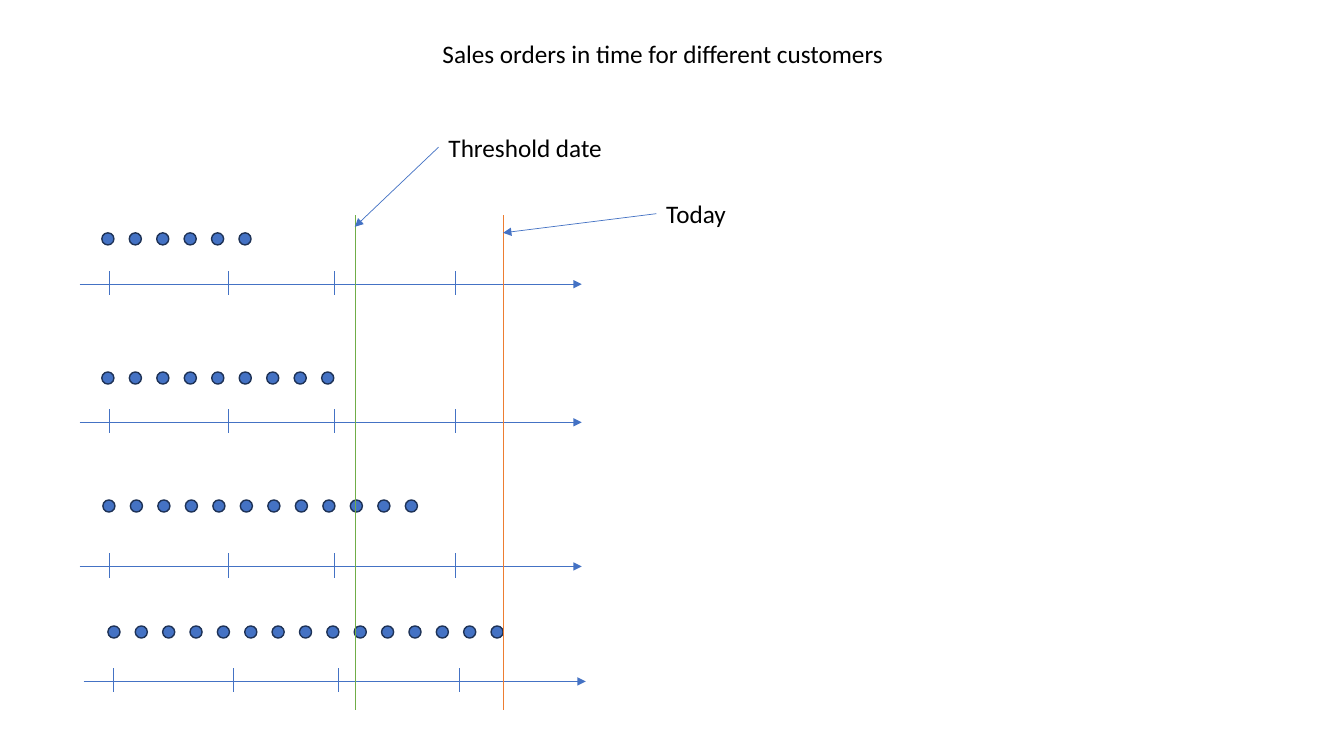
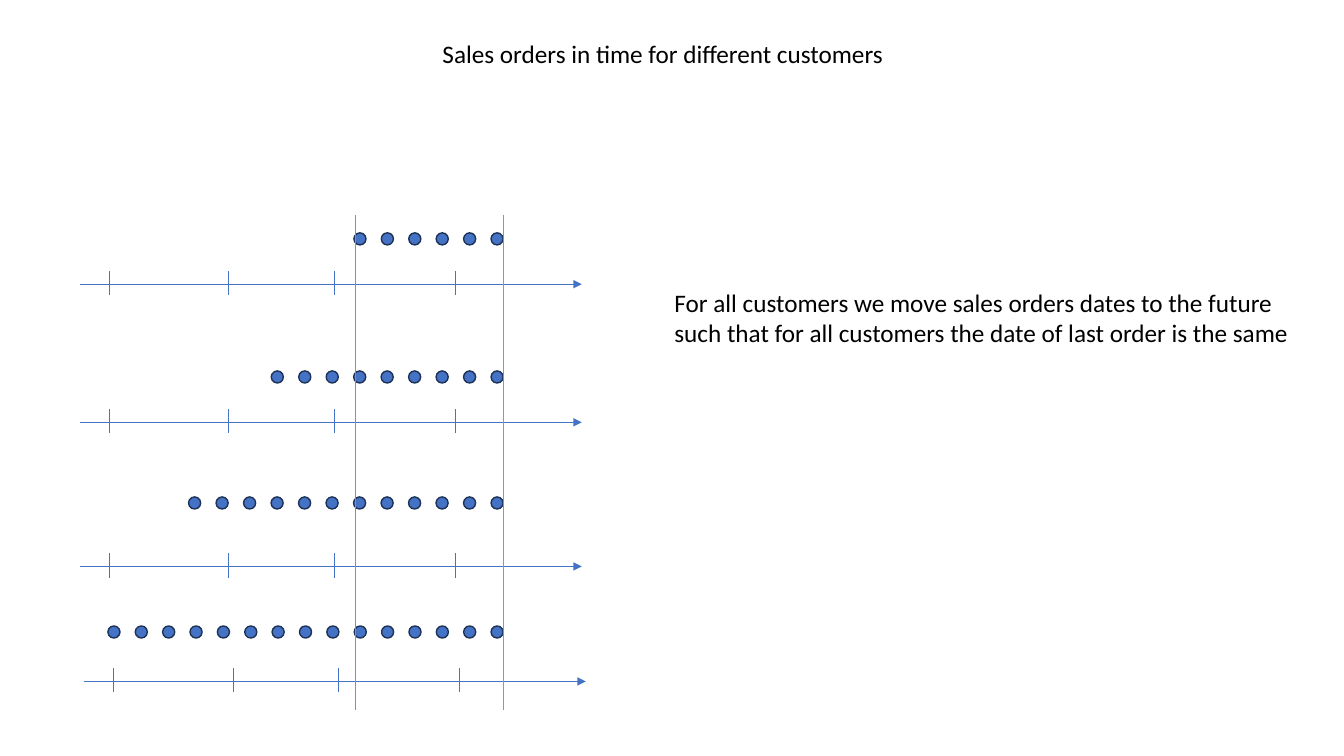
from pptx import Presentation
from pptx.dml.color import RGBColor
from pptx.enum.shapes import MSO_CONNECTOR, MSO_SHAPE
from pptx.enum.text import MSO_AUTO_SIZE
from pptx.oxml.ns import qn
from pptx.util import Inches, Pt
from lxml.etree import SubElement

COLORS = {"axis": "4472C4", "order": "4472C4", "order_edge": "1E3256",
          "today": "ED7D31", "threshold": "70AD47", "text": "000000"}
FONT = "Calibri"
TITLE = "Sales orders in time for different customers"

# Shared geometry, in inches
AXIS_LENGTH = 4.98
TICK_OFFSETS = (0.29, 1.48, 2.53, 3.73)
TICK_RISE, TICK_DROP = 0.13, 0.11
ORDER_SIZE = 0.12
AXES = ((0.79, 2.82), (0.79, 4.19), (0.79, 5.62), (0.83, 6.76))
THRESHOLD_X, TODAY_X = 3.52, 4.99
MARKER_TOP, MARKER_BOTTOM = 2.13, 7.04

# Orders of each customer: left of first, left of last, top, count
ACTUAL_ORDERS = ((1.01, 2.37, 2.31, 6), (1.01, 3.19, 3.69, 9),
                 (1.02, 4.02, 4.96, 12), (1.07, 4.87, 6.21, 15))
SHIFTED_ORDERS = ((3.51, 4.87, 2.31, 6), (2.69, 4.87, 3.68, 9),
                  (1.87, 4.87, 4.93, 12), (1.07, 4.87, 6.21, 15))


def add_text(slide, text, left, top, width, height, *, size=18,
             color="text", wrap=True):
    box = slide.shapes.add_textbox(Inches(left), Inches(top),
                                   Inches(width), Inches(height))
    frame = box.text_frame
    frame.word_wrap = wrap
    frame.auto_size = MSO_AUTO_SIZE.SHAPE_TO_FIT_TEXT
    run = frame.paragraphs[0].add_run()
    run.text = text
    run.font.size = Pt(size)
    run.font.name = FONT
    run.font.color.rgb = RGBColor.from_string(COLORS[color])


def add_line(slide, start, end, color="axis", arrow=False):
    line = slide.shapes.add_connector(
        MSO_CONNECTOR.STRAIGHT, *(Inches(v) for v in (*start, *end)))
    line.line.color.rgb = RGBColor.from_string(COLORS[color])
    line.line.width = Pt(0.5)
    properties = line._element.spPr
    if arrow:
        SubElement(properties.find(qn("a:ln")), qn("a:tailEnd"), type="triangle")
    SubElement(properties, qn("a:effectLst"))


def add_axis(slide, left, middle):
    add_line(slide, (left, middle), (left + AXIS_LENGTH, middle), arrow=True)
    for offset in TICK_OFFSETS:
        x = left + offset
        add_line(slide, (x, middle - TICK_RISE), (x, middle + TICK_DROP))


def add_orders(slide, first, last, top, count):
    pitch = (last - first) / (count - 1)
    for index in range(count):
        order = slide.shapes.add_shape(
            MSO_SHAPE.OVAL, Inches(first + index * pitch), Inches(top),
            Inches(ORDER_SIZE), Inches(ORDER_SIZE))
        order.shadow.inherit = False
        order.fill.solid()
        order.fill.fore_color.rgb = RGBColor.from_string(COLORS["order"])
        order.line.color.rgb = RGBColor.from_string(COLORS["order_edge"])
        order.line.width = Pt(1)


def add_callout(slide, text, left, top, width, target):
    add_line(slide, (left, top + 0.2), target, arrow=True)
    add_text(slide, text, left, top, width, 0.4, wrap=False)


def add_timeline_slide(deck, customers):
    slide = deck.slides.add_slide(deck.slide_layouts[6])
    # Customer timelines
    for axis in AXES:
        add_axis(slide, *axis)
    for orders in customers:
        add_orders(slide, *orders)
    # Title and date markers
    add_text(slide, TITLE, 4.29, 0.33, 4.75, 0.4)
    for x, color in ((TODAY_X, "today"), (THRESHOLD_X, "threshold")):
        add_line(slide, (x, MARKER_BOTTOM), (x, MARKER_TOP), color)
    return slide


deck = Presentation()
deck.slide_width, deck.slide_height = Inches(13.33), Inches(7.5)

# Orders at their actual dates
actual = add_timeline_slide(deck, ACTUAL_ORDERS)
add_callout(actual, "Today", 6.51, 1.92, 0.8, (TODAY_X, 2.31))
add_callout(actual, "Threshold date", 4.35, 1.26, 1.74, (THRESHOLD_X, 2.25))

# Orders moved to a common last date
shifted = add_timeline_slide(deck, SHIFTED_ORDERS)
add_text(shifted, "For all customers we move sales orders dates to the future "
         "such that for all customers the date of last order is the same",
         6.59, 2.8, 6.48, 0.71)

deck.save("out.pptx")
